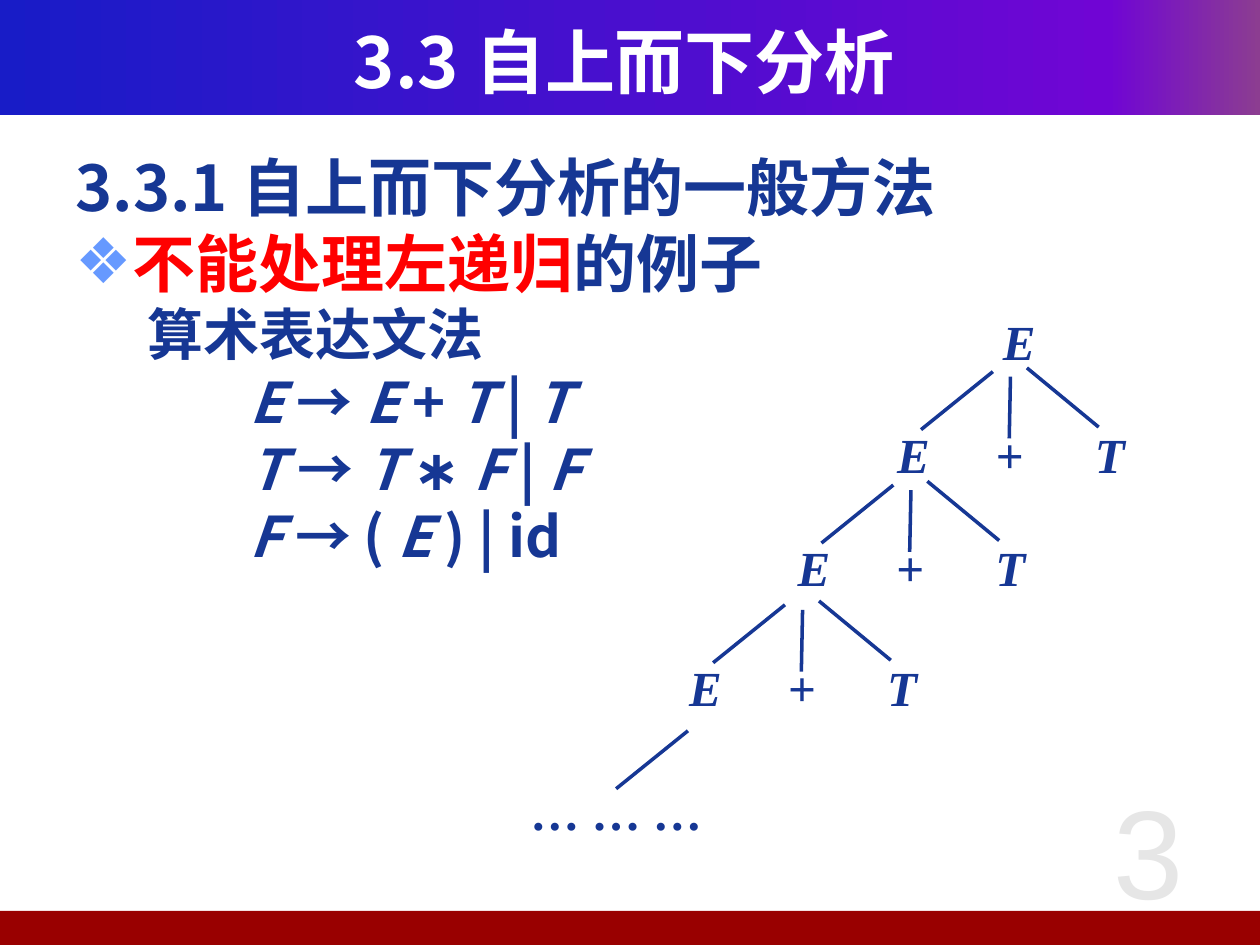
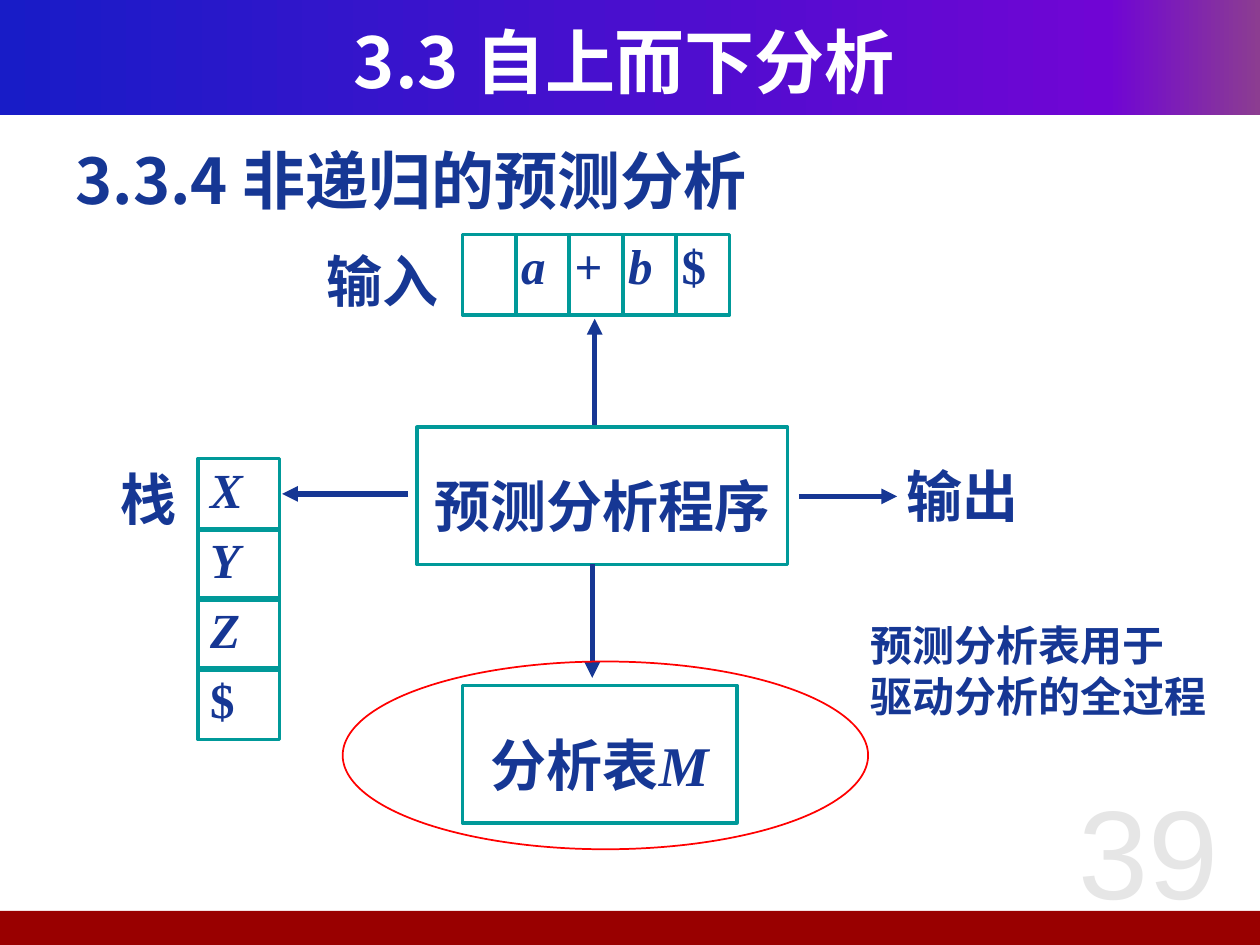
from copy import deepcopy

from lxml import etree
from pptx import Presentation
from pptx import util as u
from pptx.dml.color import RGBColor
from pptx.enum import shapes, text
from pptx.oxml import ns

COLORS = {
    "ink": "163794", "red": "FF0000", "bullet": "6699FF", "frame": "009999",
    "white": "FFFFFF", "number": "E6E6E6", "footer": "990000",
    "band start": "181CC7", "band middle": "7005D4", "band end": "8C3D91",
}
BAND_STOPS = [(0, "band start"), (0.88, "band middle"), (1, "band end")]
CJK = "Noto Sans CJK SC"
LATIN = "Times New Roman"
TITLE = "3.3 自上而下分析"
SYMBOL = {"name": LATIN, "size": 28, "bold": True, "color": "ink"}
LABEL = {**SYMBOL, "size": 32}
HEADING = {"name": CJK, "size": 36, "bold": True, "color": "ink"}
FORMULA = {**HEADING, "size": 32}
TIGHT = (0.02, 0.01, 0.02, 0.01)
CENTERED = (0.1, 0.15, 0.1, 0)
LABEL_INSETS = (0.1, 0.1, 0, 0.05)


def rgb(name):
    return RGBColor.from_string(COLORS[name])


def child(parent, tag, **attributes):
    return etree.SubElement(parent, ns.qn(tag), attributes)


def letter_style(letter):
    return {**SYMBOL, "italic": letter.isalpha()}


class SlideBuilder:
    def __init__(self):
        self.deck = Presentation()
        self.deck.slide_width = u.Inches(10)
        self.deck.slide_height = u.Inches(7.5)
        self.page = None

    def new_page(self, number):
        first = self.page is None
        self.page = self.deck.slides.add_slide(self.deck.slide_layouts[1])
        if first:
            self.bands()
        title = self.page.shapes.title
        self.place(title, 0.33, 0.17, 9.25, 0.62)
        self.set_text(title, [[(TITLE, {**HEADING, "size": 40, "color": "white"})]],
                      align="CENTER", anchor="MIDDLE", insets=(0, 0, 0, 0))
        self.label([[(number, {"name": "Arial", "size": 72, "color": "number"})]],
                   8.23, 6.03, 1.77, 1.42, align="CENTER", anchor="MIDDLE",
                   insets=(0.1, 0.05, 0.1, 0.05))

    def bands(self):
        header = self.shape("RECTANGLE", 0, 0, 10, 0.91)
        header.fill.gradient()
        header.fill.gradient_angle = 0
        stop_list = header.element.find(".//" + ns.qn("a:gsLst"))
        stop_list.append(deepcopy(stop_list[-1]))
        for stop, (position, color) in zip(header.fill.gradient_stops, BAND_STOPS):
            stop.position = position
            stop.color.rgb = rgb(color)
        footer = self.shape("RECTANGLE", -0.04, 7.23, 10.04, 0.27)
        footer.fill.solid()
        footer.fill.fore_color.rgb = rgb("footer")
        for band in (footer, header):
            self.deck.slide_master.shapes.element.insert(2, band.element)

    def place(self, box, left, top, width, height):
        for key, value in zip(("left", "top", "width", "height"),
                              (left, top, width, height)):
            setattr(box, key, u.Inches(value))

    def set_text(self, box, rows, align="LEFT", anchor="TOP", insets=LABEL_INSETS,
                 fixed_lines=False):
        frame = box.text_frame
        settings = {"word_wrap": True, "auto_size": text.MSO_AUTO_SIZE.NONE,
                    "vertical_anchor": getattr(text.MSO_ANCHOR, anchor)}
        for side, value in zip(("left", "top", "right", "bottom"), insets):
            settings["margin_" + side] = u.Inches(value)
        for key, value in settings.items():
            setattr(frame, key, value)
        for index, row in enumerate(rows):
            para = frame.add_paragraph() if index else frame.paragraphs[0]
            para.alignment = getattr(text.PP_ALIGN, align)
            para.space_before = u.Pt(0)
            if fixed_lines:
                para.line_spacing = u.Pt(round(row[0][1]["size"] * 1.2, 1))
            for words, style in row:
                self.span(para, words, style)

    def span(self, para, words, style):
        span = para.add_run()
        span.text = words
        for key, value in style.items():
            if key == "color":
                span.font.color.rgb = rgb(value)
            else:
                setattr(span.font, key, u.Pt(value) if key == "size" else value)
        child(span._r.get_or_add_rPr(), "a:ea", typeface=CJK)

    def body(self, rows, indents, bullets=(), top_inset=0.05):
        box = self.page.placeholders[1]
        self.place(box, 0.5, 1.07, 9, 5.74)
        self.set_text(box, rows, insets=(0.1, top_inset, 0.1, 0.05), fixed_lines=True)
        for index, (para, indent) in enumerate(zip(box.text_frame.paragraphs, indents)):
            marked = index in bullets
            props = para._p.get_or_add_pPr()
            props.set("marL", str(u.Inches(indent)))
            props.set("indent", str(u.Inches(-indent if marked else 0)))
            if marked:
                child(child(props, "a:buClr"), "a:srgbClr", val=COLORS["bullet"])
                child(props, "a:buFont", typeface="Arial")
                child(props, "a:buChar", char="❖")
            else:
                child(props, "a:buNone")

    def label(self, rows, left, top, width, height, **layout):
        box = self.page.shapes.add_textbox(0, 0, 0, 0)
        self.place(box, left, top, width, height)
        self.set_text(box, rows, **layout)

    def shape(self, kind, left, top, width, height, line=None, weight=2):
        box = self.page.shapes.add_shape(getattr(shapes.MSO_SHAPE, kind), 0, 0, 0, 0)
        self.place(box, left, top, width, height)
        box.shadow.inherit = False
        box.fill.background()
        if line:
            box.line.color.rgb = rgb(line)
            box.line.width = u.Pt(weight)
        else:
            box.line.fill.background()
        return box

    def framed(self, rows, left, top, width, height, **layout):
        box = self.shape("RECTANGLE", left, top, width, height, line="frame")
        if rows:
            self.set_text(box, rows, **layout)

    def line(self, start, end, weight=2, arrow=False):
        points = [u.Inches(value) for value in (*start, *end)]
        line = self.page.shapes.add_connector(shapes.MSO_CONNECTOR.STRAIGHT, *points)
        line.line.color.rgb = rgb("ink")
        line.line.width = u.Pt(weight)
        if arrow:
            child(line.line._get_or_add_ln(), "a:tailEnd", type="triangle")
        child(line.element.spPr, "a:effectLst")


def formula(*parts):
    return [(part, {**FORMULA, "italic": part.strip() in ("E", "T", "F")})
            for part in parts]


def left_recursion(builder):
    builder.new_page("3")
    builder.body([
        [("3.3.1 自上而下分析的一般方法", HEADING)],
        [("不能处理左递归", {**HEADING, "color": "red"}), ("的例子", HEADING)],
        [("算术表达文法", FORMULA)],
        formula("E ", "→ ", "E", " + ", "T", " | ", "T"),
        formula("T ", "→ ", "T ", "∗ ", "F ", "| ", "F"),
        formula("F ", "→ ( ", "E", " ) | id"),
    ], indents=(0, 0.38, 0.57, 1.38, 1.38, 1.38), bullets=(1,), top_inset=0.11)

    def node(words, left, top, width=0.34):
        builder.label([[(words, letter_style(words))]], left, top, width, 0.55,
                      insets=TIGHT)

    def left_branch(left, top):
        builder.line((left + 0.78, top - 0.41), (left + 0.21, top + 0.05))

    node("E", 7.94, 2.46)
    for left, top in ((7.1, 3.36), (6.31, 4.26), (5.45, 5.21)):
        left_branch(left, top)
        builder.line((left + 0.92, top - 0.37), (left + 0.91, top + 0.12))
        builder.line((left + 1.05, top - 0.44), (left + 1.62, top + 0.03))
        for index, symbol in enumerate("E+T"):
            node(symbol, left + 1.57 * index / 2, top)
    left_branch(4.68, 6.21)
    node("… … …", 4.19, 6.19, 2.21)


def predictive_parser(builder):
    builder.new_page("39")
    builder.body([[("3.3.4 非递归的预测分析", HEADING)]], indents=(0,))

    for index, symbol in enumerate(["", "a", "+", "b", "$"]):
        rows = [[(symbol, letter_style(symbol))]] if symbol else []
        builder.framed(rows, 3.67 + index * 1.7 / 4, 1.86, 0.42, 0.64,
                       insets=(0.04, 0.01, 0.02, 0.01))
    for index, symbol in enumerate("XYZ$"):
        builder.framed([[(symbol, letter_style(symbol))]],
                       1.57, 3.64 + index * 1.66 / 3, 0.65, 0.57,
                       insets=(0.1, 0.01, 0.1, 0.05))

    program = [[("预测分析程序", LABEL)]]
    table = [[("分析表", LABEL), ("M", {**LABEL, "italic": True})]]
    for rows, left, top, width in ((program, 3.31, 3.39, 2.94),
                                   (table, 3.67, 5.44, 2.18)):
        builder.framed(rows, left, top, width, 1.09, align="CENTER", anchor="MIDDLE",
                       insets=CENTERED, fixed_lines=True)

    for words, left, top in (("输入", 2.49, 1.86), ("输出", 7.1, 3.56),
                             ("栈", 0.86, 3.59)):
        builder.label([[(words, LABEL)]], left, top, 1.13, 0.72, fixed_lines=True)
    for start, end in (((4.72, 3.37), (4.72, 2.53)), ((4.7, 4.48), (4.7, 5.38)),
                       ((6.34, 3.94), (7.12, 3.94)), ((3.24, 3.92), (2.24, 3.92))):
        builder.line(start, end, weight=3, arrow=True)

    builder.shape("OVAL", 2.72, 5.25, 4.17, 1.49, line="red", weight=1)
    note = {**LABEL, "name": "Cabin", "size": 24}
    builder.label([[("预测分析表用于", note)], [("驱动分析的全过程", note)]],
                  6.81, 4.82, 2.91, 0.91, fixed_lines=True)


def main():
    builder = SlideBuilder()
    left_recursion(builder)
    predictive_parser(builder)
    builder.deck.save("out.pptx")


if __name__ == "__main__":
    main()
